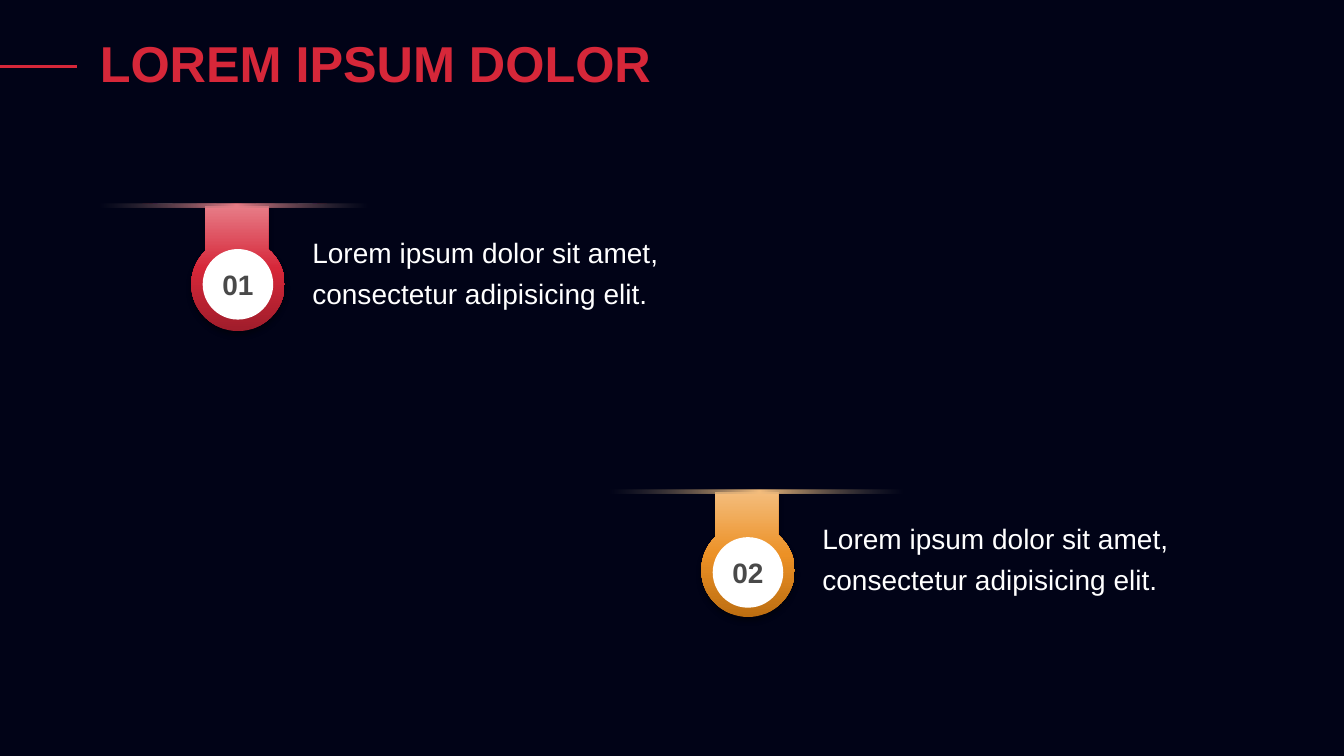
from dataclasses import dataclass

import pptx
import pptx.dml.color
import pptx.enum.shapes
import pptx.enum.text
import pptx.oxml
import pptx.oxml.ns
import pptx.util

Pt = pptx.util.Pt
RGBColor = pptx.dml.color.RGBColor
SHAPE = pptx.enum.shapes.MSO_SHAPE
ALIGN = pptx.enum.text.PP_ALIGN
qn = pptx.oxml.ns.qn
NS = pptx.oxml.ns.nsdecls("a")

NAVY = RGBColor(0x01, 0x03, 0x17)
WHITE = RGBColor(0xFF, 0xFF, 0xFF)
GRAY = RGBColor(0x49, 0x49, 0x49)
FADE = RGBColor(0x5F, 0x5F, 0x5F)
BLACK = RGBColor(0x00, 0x00, 0x00)
RED = RGBColor(0xD6, 0x27, 0x39)
RED_DARK = RGBColor(0xA0, 0x1D, 0x2B)
RED_LIGHT = RGBColor(0xE7, 0x7D, 0x88)
ORANGE = RGBColor(0xEC, 0x91, 0x26)
ORANGE_DARK = RGBColor(0xBD, 0x6E, 0x11)
ORANGE_LIGHT = RGBColor(0xF4, 0xBD, 0x7D)

# Hanging tab geometry, in points from the tab's top left corner
RADIUS = 33.4
CENTER_Y = 56.2
BOTTOM = CENTER_Y + RADIUS
HANDLE = RADIUS * 0.55
NECK_LEFT, NECK_RIGHT = 10.1, 54.9
BADGE = 50.4
NECK = [(NECK_LEFT, 0), (NECK_RIGHT, 0), (NECK_RIGHT, 31)]
# Each curve: two handles and an end point
CURVES = [
    ((62, 37), (2 * RADIUS, 46), (2 * RADIUS, CENTER_Y)),
    ((2 * RADIUS, CENTER_Y + HANDLE), (RADIUS + HANDLE, BOTTOM), (RADIUS, BOTTOM)),
    ((RADIUS - HANDLE, BOTTOM), (0, CENTER_Y + HANDLE), (0, CENTER_Y)),
    ((0, 47), (3.8, 38.5), (NECK_LEFT, 32.3)),
]


@dataclass
class Item:
    number: str
    text: str
    left: float
    top: float
    badge_top: float
    bar_width: float
    dark: RGBColor
    main: RGBColor
    light: RGBColor


@dataclass
class Stop:
    position: int
    color: RGBColor
    alpha: int = 100


ITEMS = [
    Item("01", "Lorem ipsum dolor sit amet, consectetur adipisicing elit.",
         136.6, 146.9, 31, 195.8, RED_DARK, RED, RED_LIGHT),
    Item("02", "Lorem ipsum dolor sit amet, consectetur adipisicing elit.",
         500.9, 351.1, 32.6, 213.8, ORANGE_DARK, ORANGE, ORANGE_LIGHT),
]


def color_xml(color: RGBColor, alpha: int) -> str:
    opacity = f'<a:alpha val="{alpha * 1000}"/>' if alpha < 100 else ""
    return f'<a:srgbClr val="{color}">{opacity}</a:srgbClr>'


def write(sp, text: str, *, size: float, color: RGBColor, bold: bool = False,
          align=ALIGN.LEFT, spacing: float = 1.0, wrap: bool = True,
          margins: tuple[float, float] = (7.2, 3.6)) -> None:
    tf = sp.text_frame
    tf.word_wrap = wrap
    tf.vertical_anchor = pptx.enum.text.MSO_ANCHOR.MIDDLE
    tf.margin_left = tf.margin_right = Pt(margins[0])
    tf.margin_top = tf.margin_bottom = Pt(margins[1])
    p = tf.paragraphs[0]
    p.alignment = align
    p.line_spacing = spacing
    r = p.add_run()
    r.text = text
    r.font.name = "Arial"
    r.font.size = Pt(size)
    r.font.bold = bold
    r.font.color.rgb = color


def add_plain(shapes, kind, left: float, top: float, width: float, height: float):
    sp = shapes.add_shape(kind, Pt(left), Pt(top), Pt(width), Pt(height))
    sp.shadow.inherit = False
    sp.line.fill.background()
    return sp


def fill_gradient(sp, stops: list[Stop], angle: float) -> None:
    sp.fill.gradient()
    sp.fill.gradient_angle = angle
    gs_list = sp._element.spPr.find(qn("a:gradFill")).find(qn("a:gsLst"))
    for gs in list(gs_list):
        gs_list.remove(gs)
    for stop in stops:
        gs_list.append(pptx.oxml.parse_xml(
            f'<a:gs {NS} pos="{stop.position * 1000}">'
            f'{color_xml(stop.color, stop.alpha)}</a:gs>'))


def bend_lines(sp, count: int) -> None:
    """Turn the last 3 * count straight segments into cubic curves."""
    segments = list(sp._element.iter(qn("a:lnTo")))[-3 * count:]
    for i in range(0, len(segments), 3):
        curve = pptx.oxml.parse_xml(f"<a:cubicBezTo {NS}/>")
        segments[i].addprevious(curve)
        for segment in segments[i:i + 3]:
            curve.append(segment[0])
            segment.getparent().remove(segment)


def add_tab(shapes, item: Item) -> None:
    """Draw a straight neck that runs into a round end."""
    outline = NECK + [point for curve in CURVES for point in curve]
    start, *others = [(Pt(item.left + x), Pt(item.top + y)) for x, y in outline]
    builder = shapes.build_freeform(*start)
    builder.add_line_segments(others, close=True)
    sp = builder.convert_to_shape()
    bend_lines(sp, len(CURVES))
    sp.line.fill.background()
    fill_gradient(sp, [Stop(0, item.dark), Stop(50, item.main),
                       Stop(100, item.light)], 90)
    sp.shadow.inherit = False
    sp._element.spPr.find(qn("a:effectLst")).append(pptx.oxml.parse_xml(
        f'<a:outerShdw {NS} blurRad="{Pt(4)}" dist="{Pt(3)}" dir="5400000" '
        f'algn="t" rotWithShape="0">{color_xml(BLACK, 40)}</a:outerShdw>'))


def add_item(slide, item: Item) -> None:
    shapes = slide.shapes.add_group_shape().shapes

    # Description
    box = shapes.add_textbox(Pt(item.left + 79.4), Pt(item.top + 1.7),
                             Pt(308.2), Pt(87.8))
    write(box, item.text, size=20, color=WHITE, spacing=1.2)

    # Tab with numbered badge
    add_tab(shapes, item)
    badge = add_plain(shapes, SHAPE.OVAL, item.left + RADIUS - BADGE / 2,
                      item.top + item.badge_top, BADGE, BADGE)
    badge.fill.solid()
    badge.fill.fore_color.rgb = WHITE
    write(badge, item.number, size=20, color=GRAY, bold=True,
          align=ALIGN.CENTER, wrap=False, margins=(0, 0))

    # Glowing bar across the top
    bar = add_plain(shapes, SHAPE.RECTANGLE, item.left - 65.3, item.top - 1.5,
                    item.bar_width, 3.2)
    fill_gradient(bar, [Stop(2, FADE, 0), Stop(50, item.light),
                        Stop(100, FADE, 0)], 180)


def main() -> None:
    prs = pptx.Presentation()
    prs.slide_width, prs.slide_height = Pt(960), Pt(540)
    slide = prs.slides.add_slide(prs.slide_layouts[6])
    slide.background.fill.solid()
    slide.background.fill.fore_color.rgb = NAVY

    # Title and its lead-in line
    line = slide.shapes.add_connector(pptx.enum.shapes.MSO_CONNECTOR.STRAIGHT,
                                      Pt(0), Pt(47.5), Pt(55.2), Pt(47.5))
    line.line.color.rgb = RED
    line.line.width = Pt(2.25)
    line._element.spPr.append(pptx.oxml.parse_xml(f"<a:effectLst {NS}/>"))

    for item in ITEMS:
        add_item(slide, item)

    title = slide.shapes.add_textbox(Pt(66.2), Pt(13.7), Pt(828), Pt(67.7))
    write(title, "LOREM IPSUM DOLOR", size=36, color=RED, bold=True,
          spacing=0.9, margins=(5.1, 2.9))

    prs.save("out.pptx")


if __name__ == "__main__":
    main()
